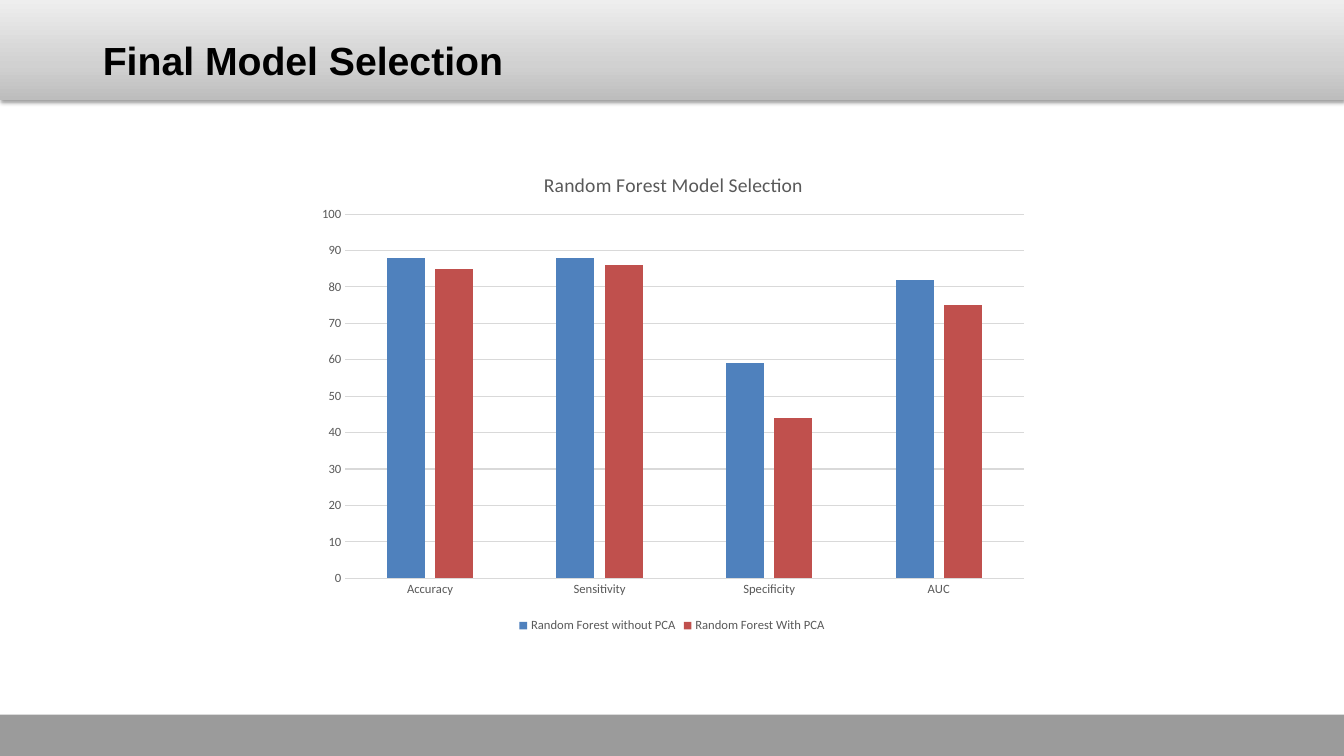
import pptx
import pptx.chart.data
import pptx.dml.color
import pptx.enum.chart
import pptx.enum.shapes
import pptx.enum.text
import pptx.oxml
import pptx.util

Inches = pptx.util.Inches
NAMESPACE = 'xmlns:a="http://schemas.openxmlformats.org/drawingml/2006/main"'
CHART_NAMESPACE = 'xmlns:c="http://schemas.openxmlformats.org/drawingml/2006/chart"'


def color(hex_text):
    return pptx.dml.color.RGBColor.from_string(hex_text)


def format_font(font, hex_text, **values):
    font.color.rgb = color(hex_text)
    for name, value in values.items():
        setattr(font, name, value)


presentation = pptx.Presentation()
presentation.slide_width = Inches(13.33)
presentation.slide_height = Inches(7.5)
slide = presentation.slides.add_slide(presentation.slide_layouts[5])

# Header and footer bands
bands = {}
for name, top, height in (("header", 0, 0.99), ("footer", 7.09, 0.41)):
    band = slide.shapes.add_shape(
        pptx.enum.shapes.MSO_SHAPE.RECTANGLE,
        0, Inches(top), presentation.slide_width, Inches(height))
    band.shadow.inherit = False
    band.fill.solid()
    band.fill.fore_color.rgb = color("9B9B9B")
    band.line.fill.background()
    bands[name] = band

header_properties = bands["header"]._element.spPr
stops = "".join(
    f'<a:gs pos="{position * 1000}"><a:srgbClr val="{shade}"/></a:gs>'
    for position, shade in ((0, "BDBDBD"), (35, "D1D1D1"), (100, "EEEEEE")))
gradient = pptx.oxml.parse_xml(
    f'<a:gradFill {NAMESPACE} rotWithShape="1"><a:gsLst>{stops}</a:gsLst>'
    '<a:lin ang="16200000" scaled="0"/></a:gradFill>')
shadow = pptx.oxml.parse_xml(
    f'<a:effectLst {NAMESPACE}><a:outerShdw blurRad="{pptx.util.Pt(3.1)}" '
    f'dist="{pptx.util.Pt(1.6)}" dir="5400000" rotWithShape="0">'
    '<a:srgbClr val="000000"><a:alpha val="38000"/></a:srgbClr>'
    '</a:outerShdw></a:effectLst>')
for tag, element in (("solidFill", gradient), ("effectLst", shadow)):
    header_properties.replace(
        header_properties.find(pptx.oxml.ns.qn(f"a:{tag}")), element)

# Title, in front of the header band
title = slide.shapes.title
slide.shapes._spTree.append(title._element)
title.left, title.top, title.width, title.height = map(
    Inches, (0.92, 0.31, 10.27, 0.88))
title.text_frame.text = "Final Model Selection"
title.text_frame.vertical_anchor = pptx.enum.text.MSO_ANCHOR.TOP
title.text_frame.auto_size = pptx.enum.text.MSO_AUTO_SIZE.NONE
paragraph = title.text_frame.paragraphs[0]
paragraph.alignment = pptx.enum.text.PP_ALIGN.LEFT
format_font(paragraph.font, "000000", name="Arial", size=pptx.util.Pt(28), bold=True)

# Model comparison chart
chart_data = pptx.chart.data.CategoryChartData()
chart_data.categories = ["Accuracy", "Sensitivity", "Specificity", "AUC"]
chart_data.add_series("Random Forest without PCA", (88, 88, 59, 82))
chart_data.add_series("Random Forest With PCA", (85, 86, 44, 75))
chart = slide.shapes.add_chart(
    pptx.enum.chart.XL_CHART_TYPE.COLUMN_CLUSTERED,
    Inches(3.04), Inches(1.47), Inches(7.25), Inches(4.85), chart_data).chart
label_format = {"name": "Calibri", "size": pptx.util.Pt(9), "bold": False}
format_font(chart.font, "595959", **label_format)

chart.has_title = True
chart.chart_title.text_frame.text = "Random Forest Model Selection"
format_font(chart.chart_title.text_frame.paragraphs[0].font, "595959",
            **{**label_format, "size": pptx.util.Pt(14)})
chart.chart_title.include_in_layout = False

chart.has_legend = True
chart.legend.position = pptx.enum.chart.XL_LEGEND_POSITION.BOTTOM
chart.legend.include_in_layout = False
format_font(chart.legend.font, "595959", **label_format)

plot = chart.plots[0]
plot.gap_width = 219
plot.overlap = -27
plot.vary_by_categories = False
for series, fill in zip(plot.series, ("4F81BD", "C0504D")):
    series.format.fill.solid()
    series.format.fill.fore_color.rgb = color(fill)
    series.invert_if_negative = False

for axis in (chart.category_axis, chart.value_axis):
    axis.major_tick_mark = pptx.enum.chart.XL_TICK_MARK.NONE
    axis.minor_tick_mark = pptx.enum.chart.XL_TICK_MARK.NONE
    format_font(axis.tick_labels.font, "595959", **label_format)
chart.value_axis.minimum_scale = 0
chart.value_axis.maximum_scale = 100
chart.value_axis.major_unit = 10
chart.value_axis.format.line.fill.background()
for line in (chart.category_axis.format.line,
             chart.value_axis.major_gridlines.format.line):
    line.color.rgb = color("D9D9D9")
    line.width = pptx.util.Pt(0.75)

# Fixed places for the title and the plot area, as fractions of the chart
layouts = (
    ("c:title", {"xMode": "edge", "yMode": "edge", "x": 0.32, "y": 0.04}),
    ("c:plotArea", {"layoutTarget": "inner", "xMode": "edge", "yMode": "edge",
                    "x": 0.053, "y": 0.135, "w": 0.928, "h": 0.745}),
)
for tag, values in layouts:
    parent = chart._chartSpace.chart.find(pptx.oxml.ns.qn(tag))
    for old_layout in parent.findall(pptx.oxml.ns.qn("c:layout")):
        parent.remove(old_layout)
    settings = "".join(f'<c:{key} val="{value}"/>' for key, value in values.items())
    layout = pptx.oxml.parse_xml(
        f"<c:layout {CHART_NAMESPACE}><c:manualLayout>{settings}"
        "</c:manualLayout></c:layout>")
    parent.insert(1 if tag == "c:title" else 0, layout)

presentation.save("out.pptx")
